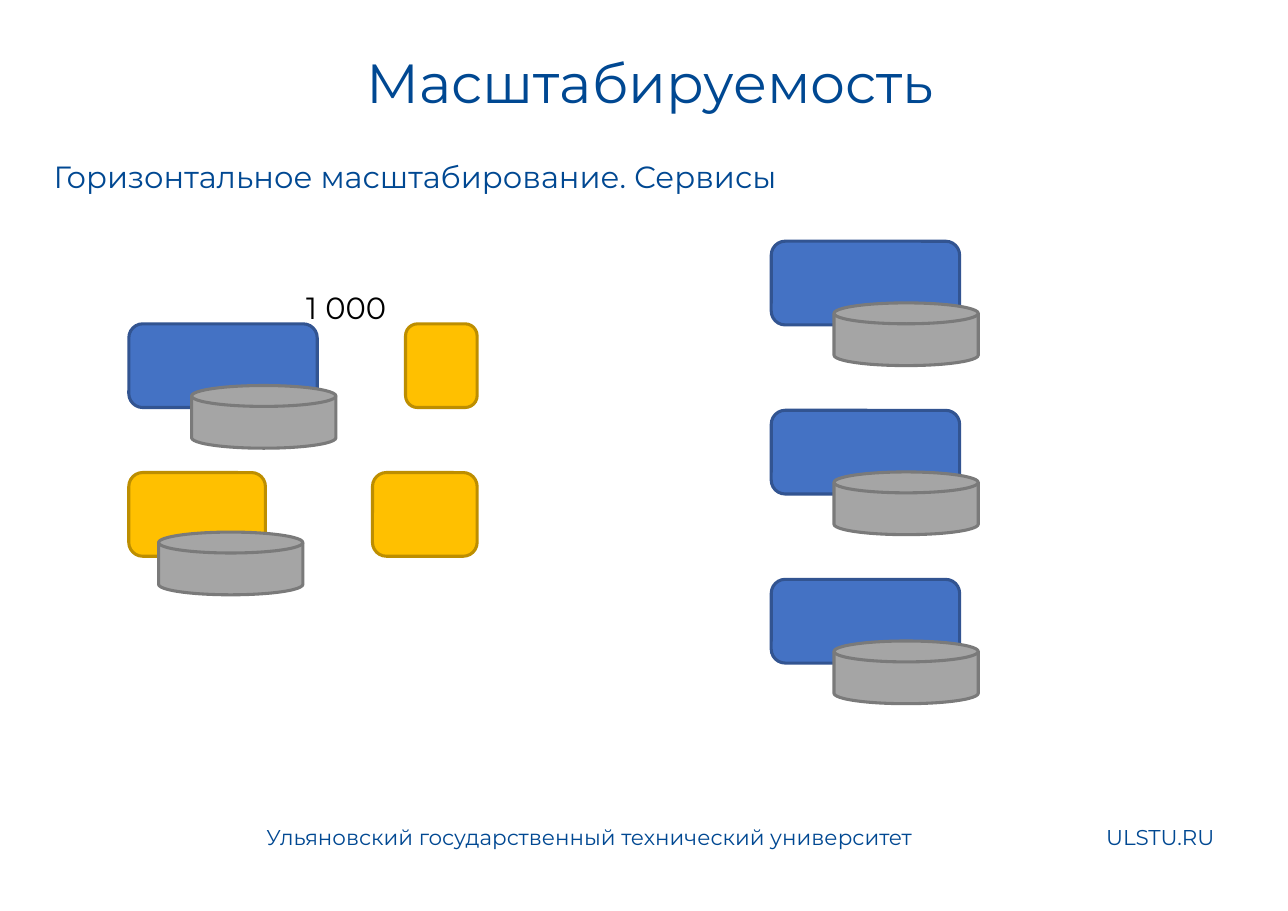
from pptx import Presentation
from pptx.dml.color import RGBColor as Rgb
from pptx.enum.shapes import MSO_SHAPE as Kind
from pptx.enum.text import PP_ALIGN as Align
from pptx.util import Pt

THEME = {
    "font": "Montserrat",
    "navy": "004892",
    "black": "000000",
    "blue": ("4472C4", "325491"),
    "gold": ("FFC000", "BD8E00"),
    "gray": ("A5A5A5", "7A7A7A"),
    "title": 36,
    "body": 20,
    "foot": 14,
    "line": 2,
}

PAGE = (841.68, 595.44)
TEXTS = [
    ("Масштабируемость", (28, 28, 793.5, 57), "title", "navy", Align.CENTER),
    ("Ульяновский государственный технический университет",
     (167, 535, 446.5, 28), "foot", "navy", Align.LEFT),
    ("ULSTU.RU", (715.7, 535, 101, 28), "foot", "navy", Align.LEFT),
    ("Горизонтальное масштабирование. Сервисы",
     (28, 99.4, 793.5, 42.5), "body", "navy", Align.LEFT),
    ("1 000", (193, 185, 70, 31.7), "body", "black", Align.LEFT),
]

HIGH = 54.7
DISK = (94.3, 41)
WIDE = 123.1
LEFT, RIGHT = 84.2, 504
EDGE = 311.8
ROWS = (211.7, 308.9)
TOP, STEP, COUNT = 157.7, 110.5, 3

PLAIN = [(46.8, ROWS[0]), (68.4, ROWS[1])]
NODES = [
    (LEFT, ROWS[0], WIDE, "blue", (41, 40.3)),
    (LEFT, ROWS[1], 89.3, "gold", (19.4, 38.9)),
] + [(RIGHT, TOP + i * STEP, WIDE, "blue", (41, 40.3)) for i in range(COUNT)]


def add_text(slide, text, area, size, color, align):
    frame = slide.shapes.add_textbox(*map(Pt, area)).text_frame
    frame.word_wrap = True
    frame.text = text
    para = frame.paragraphs[0]
    para.alignment = align
    font = para.runs[0].font
    font.name = THEME["font"]
    font.size = Pt(THEME[size])
    font.color.rgb = Rgb.from_string(THEME[color])


def add_part(shapes, kind, area, color):
    part = shapes.add_shape(kind, *map(Pt, area))
    fill, line = THEME[color]
    part.shadow.inherit = False
    part.fill.solid()
    part.fill.fore_color.rgb = Rgb.from_string(fill)
    part.line.color.rgb = Rgb.from_string(line)
    part.line.width = Pt(THEME["line"])


def add_node(slide, x, y, wide, color, shift):
    shapes = slide.shapes.add_group_shape().shapes
    add_part(shapes, Kind.ROUNDED_RECTANGLE, (x, y, wide, HIGH), color)
    spot = (x + shift[0], y + shift[1])
    add_part(shapes, Kind.FLOWCHART_MAGNETIC_DISK, spot + DISK, "gray")


def main():
    deck = Presentation()
    deck.slide_width, deck.slide_height = map(Pt, PAGE)
    slide = deck.slides.add_slide(deck.slide_layouts[6])
    for wide, y in PLAIN:
        area = (EDGE - wide, y, wide, HIGH)
        add_part(slide.shapes, Kind.ROUNDED_RECTANGLE, area, "gold")
    for node in NODES:
        add_node(slide, *node)
    for item in TEXTS:
        add_text(slide, *item)
    deck.save("out.pptx")


if __name__ == "__main__":
    main()
